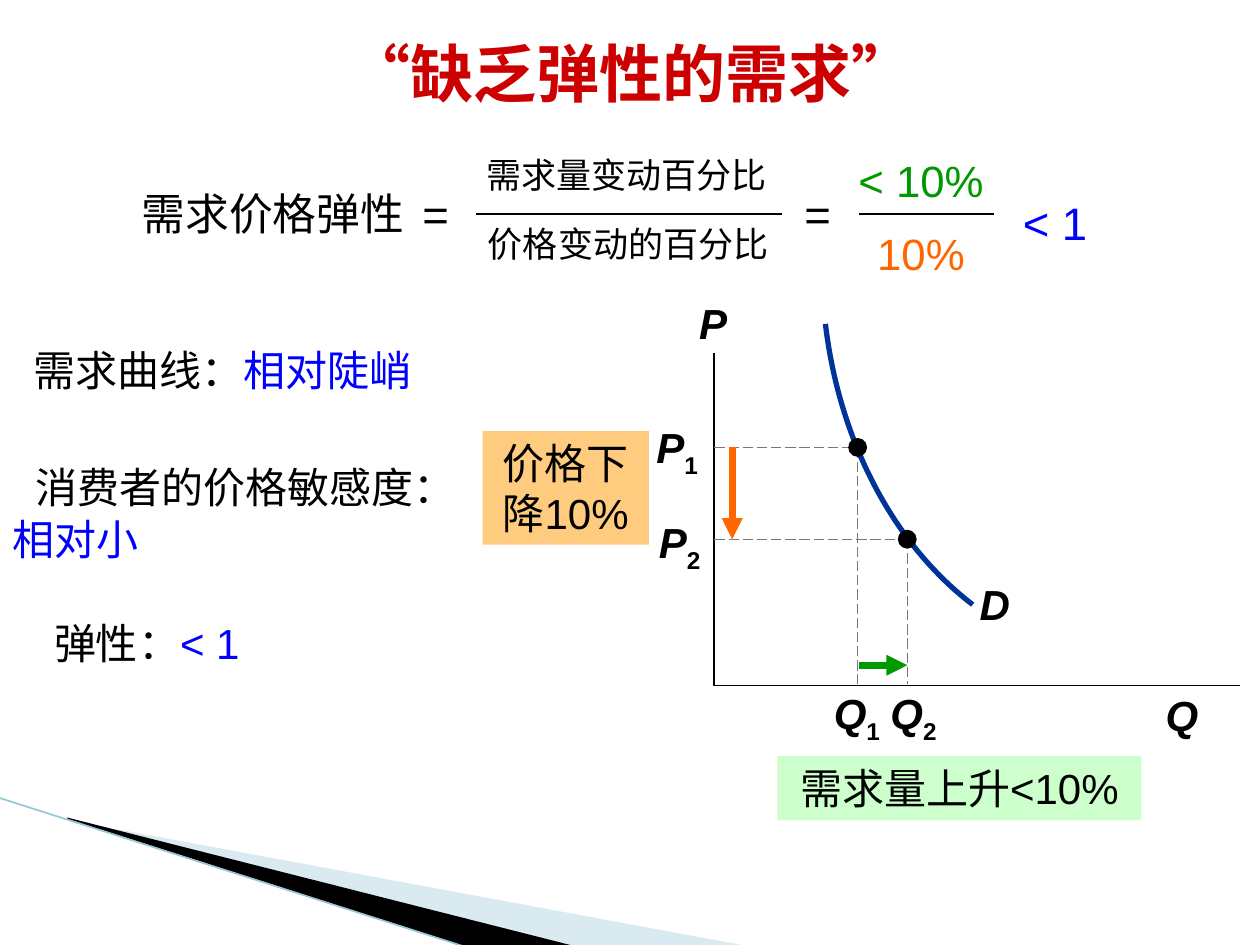
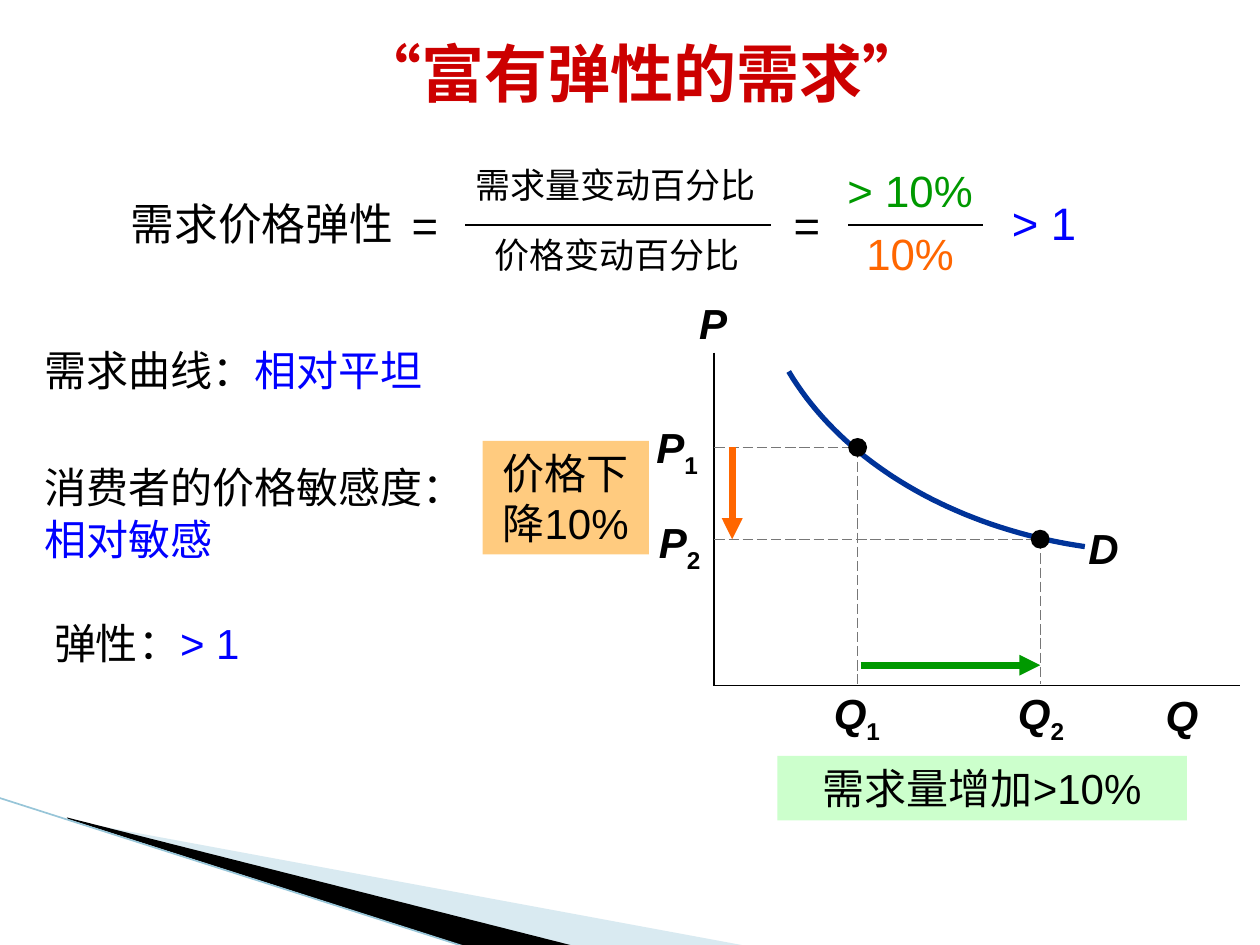
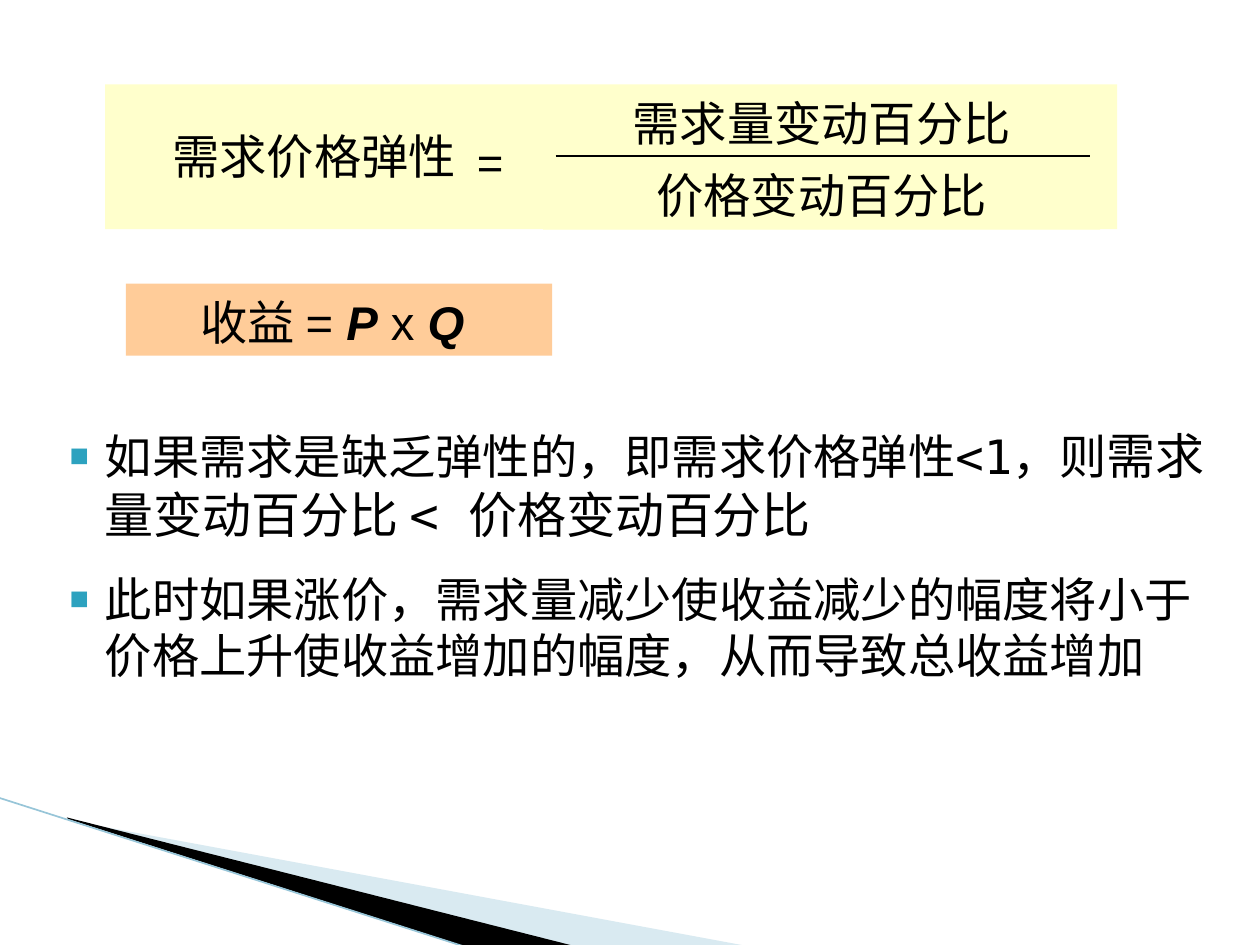
"""Build three slides on the price elasticity of demand."""
from dataclasses import dataclass
from typing import Optional

from lxml import etree
from pptx import Presentation, util as u
from pptx.dml.color import RGBColor
from pptx.enum import dml, shapes, text
from pptx.oxml.ns import qn

BLACK = RGBColor(0x00, 0x00, 0x00)
RED = RGBColor(0xCC, 0x00, 0x00)
BLUE = RGBColor(0x00, 0x00, 0xFF)
NAVY = RGBColor(0x00, 0x33, 0x99)
GREEN = RGBColor(0x00, 0x99, 0x00)
ORANGE = RGBColor(0xFF, 0x66, 0x00)
GREY = RGBColor(0x77, 0x77, 0x77)
AMBER = RGBColor(0xFF, 0x99, 0x00)
MINT = RGBColor(0xCC, 0xFF, 0xCC)
PEACH = RGBColor(0xFF, 0xCC, 0x99)
CREAM = RGBColor(0xFF, 0xFF, 0xCC)
SKY = RGBColor(0xA0, 0xCB, 0xDC)
PALE_TEAL = RGBColor(0x97, 0xC5, 0xD8)
TEAL = RGBColor(0x2D, 0xA2, 0xBF)

BODY_FONT = "Arial"
HEADING_FONT = "DejaVu Sans Mono"
LEFT, CENTER, RIGHT = text.PP_ALIGN.LEFT, text.PP_ALIGN.CENTER, text.PP_ALIGN.RIGHT

AXIS_X, AXIS_Y = 14.4, 13.82
PRICE_1, PRICE_2 = 9.02, 10.87
QUANTITY_1 = 17.29
DOT = 0.38

Point = tuple[float, float]


@dataclass(frozen=True)
class Box:
    """A frame in centimetres."""
    left: float
    top: float
    width: float
    height: float


@dataclass(frozen=True)
class Span:
    """A stretch of text and what sets it apart from its paragraph."""
    words: str
    color: Optional[RGBColor] = None
    size: Optional[float] = None
    bold: Optional[bool] = None
    italic: Optional[bool] = None
    subscript: bool = False


@dataclass(frozen=True)
class Style:
    """The look of a paragraph."""
    size: float = 24
    color: RGBColor = BLACK
    font: str = BODY_FONT
    bold: bool = False
    italic: bool = False
    align: text.PP_ALIGN = CENTER
    line_spacing: Optional[float] = None
    indent: float = 0


@dataclass(frozen=True)
class Remark:
    """A left-hand statement: a caption and its finding."""
    box: Box
    caption: str
    finding: str
    indent: float = 0


@dataclass(frozen=True)
class DemandCase:
    """Everything that differs between the two demand slides."""
    title: str
    title_width: float
    shift: Point
    denominator: str
    sign: str
    curve: tuple[Point, Point, Point, Point]
    curve_label: Point
    quantity_2: float
    quantity_2_label: float
    arrow_start: float
    price_callout_top: float
    quantity_callout: str
    quantity_callout_width: float
    remarks: tuple[Remark, ...]


VARIABLE = Style(bold=True, italic=True)

CASES = (
    DemandCase(
        title="“缺乏弹性的需求”", title_width=23.16, shift=(0, 0),
        denominator="价格变动的百分比", sign="<",
        curve=((19.61, 12.19), (18.01, 10.97), (16.92, 8.89), (16.64, 6.53)),
        curve_label=(19.28, 11.53), quantity_2=18.29, quantity_2_label=17.6,
        arrow_start=17.32, price_callout_top=8.69,
        quantity_callout="需求量上升<10%", quantity_callout_width=7.34,
        remarks=(
            Remark(Box(0, 9.12, 9.73, 3.07), "消费者的价格敏感度：", "相对小", 0.47),
            Remark(Box(0.43, 6.78, 10.8, 1.93), "需求曲线：", "相对陡峭"),
            Remark(Box(0.84, 12.27, 6.68, 1.5), "弹性：", "< 1"),
        ),
    ),
    DemandCase(
        title="“富有弹性的需求”", title_width=23.6, shift=(-0.22, 0.21),
        denominator="价格变动百分比", sign=">",
        curve=((21.87, 11.02), (19.23, 10.64), (16.99, 9.32), (15.9, 7.49)),
        curve_label=(21.47, 10.41), quantity_2=20.97, quantity_2_label=20.17,
        arrow_start=17.35, price_callout_top=8.89,
        quantity_callout="需求量增加>10%", quantity_callout_width=8.26,
        remarks=(
            Remark(Box(0.64, 9.12, 9.45, 2.97), "消费者的价格敏感度：", "相对敏感"),
            Remark(Box(0.64, 6.78, 10.21, 1.98), "需求曲线：", "相对平坦"),
            Remark(Box(0.84, 12.27, 6.3, 1.5), "弹性：", "> 1"),
        ),
    ),
)


def place(shape, box: Box) -> None:
    """Move and size a shape."""
    shape.left, shape.top = u.Cm(box.left), u.Cm(box.top)
    shape.width, shape.height = u.Cm(box.width), u.Cm(box.height)


def write(paragraph, spans: tuple[Span, ...], style: Style) -> None:
    """Fill a paragraph with spans in one style."""
    paragraph.alignment = style.align
    paragraph.space_before = u.Pt(0)
    if style.line_spacing:
        paragraph.line_spacing = style.line_spacing
    if style.indent:
        paragraph._p.get_or_add_pPr().set("indent", str(u.Cm(style.indent)))
    font = paragraph.font
    font.name, font.size = style.font, u.Pt(style.size)
    font.bold, font.italic = style.bold, style.italic
    font.color.rgb = style.color
    for span in spans:
        run = paragraph.add_run()
        run.text = span.words
        if span.color is not None:
            run.font.color.rgb = span.color
        if span.size:
            run.font.size = u.Pt(span.size)
        if span.bold is not None:
            run.font.bold = span.bold
        if span.italic is not None:
            run.font.italic = span.italic
        if span.subscript:
            run._r.get_or_add_rPr().set("baseline", "-25000")


def paint(shape, fill: RGBColor, opacity: Optional[int] = None) -> None:
    """Give a shape a plain fill with no outline or shadow."""
    shape.shadow.inherit = False
    shape.fill.solid()
    shape.fill.fore_color.rgb = fill
    shape.line.fill.background()
    if opacity:
        color = shape.element.spPr.find(qn("a:solidFill"))[0]
        etree.SubElement(color, qn("a:alpha")).set("val", str(opacity * 1000))


def add_block(slide, kind: shapes.MSO_SHAPE, box: Box, fill: RGBColor,
              opacity: Optional[int] = None):
    """Add a filled preset shape."""
    block = slide.shapes.add_shape(kind, 0, 0, 0, 0)
    place(block, box)
    paint(block, fill, opacity)
    return block


def add_text(slide, box: Box, *spans: Span, style: Style = Style(), fill: Optional[RGBColor] = None,
             opacity: Optional[int] = None, grow: bool = True) -> None:
    """Add wrapped text, on a filled rectangle when a fill is given."""
    if fill is None:
        holder = slide.shapes.add_textbox(0, 0, 0, 0)
        place(holder, box)
    else:
        holder = add_block(slide, shapes.MSO_SHAPE.RECTANGLE, box, fill, opacity)
    frame = holder.text_frame
    frame.word_wrap = True
    frame.vertical_anchor = text.MSO_ANCHOR.TOP
    frame.auto_size = text.MSO_AUTO_SIZE.SHAPE_TO_FIT_TEXT if grow else text.MSO_AUTO_SIZE.NONE
    write(frame.paragraphs[0], spans, style)


def add_line(slide, start: Point, end: Point, color: RGBColor = BLACK, width: float = 1,
             dashed: bool = False, arrow: bool = False):
    """Add a straight line, dashed or with an arrowhead on request."""
    line = slide.shapes.add_connector(shapes.MSO_CONNECTOR.STRAIGHT,
                                      *(u.Cm(value) for value in (*start, *end)))
    line.line.color.rgb = color
    line.line.width = u.Pt(width)
    if dashed:
        line.line.dash_style = dml.MSO_LINE.LONG_DASH
    properties = line.element.spPr
    if arrow:
        outline = properties.find(qn("a:ln"))
        etree.SubElement(outline, qn("a:tailEnd")).set("type", "triangle")
    etree.SubElement(properties, qn("a:effectLst"))
    return line


def add_outline(slide, points: list[Point], close: bool):
    """Add a freeform through points."""
    first, *rest = [(u.Cm(x), u.Cm(y)) for x, y in points]
    builder = slide.shapes.build_freeform(*first)
    builder.add_line_segments(rest, close=close)
    return builder.convert_to_shape()


def add_curve(slide, controls: tuple[Point, Point, Point, Point], steps: int = 40) -> None:
    """Draw a cubic Bezier demand curve."""
    points = []
    for step in range(steps + 1):
        t = step / steps
        weights = ((1 - t) ** 3, 3 * t * (1 - t) ** 2, 3 * t * t * (1 - t), t ** 3)
        points.append(tuple(sum(w * c[axis] for w, c in zip(weights, controls))
                            for axis in (0, 1)))
    curve = add_outline(slide, points, close=False)
    curve.shadow.inherit = False
    curve.fill.background()
    curve.line.color.rgb = NAVY
    curve.line.width = u.Pt(3)


def decorate_master(prs, slide) -> None:
    """Put the corner wedges on the slide master, behind everything."""
    pale = add_outline(slide, [(1.4, 16.54), (15.11, 19.08), (11.58, 19.08), (1.4, 16.51)], True)
    paint(pale, SKY, 40)
    dark = add_outline(slide, [(1.35, 16.48), (11.61, 19.08), (9.45, 19.1), (1.37, 16.51)], True)
    paint(dark, BLACK)
    edge = add_line(slide, (-0.03, 16.08), (9.42, 19.1), PALE_TEAL, 0.95)
    foremost = prs.slide_master.placeholders[0].element
    for number, wedge in enumerate((pale, dark, edge), start=101):
        wedge.element.xpath(".//p:cNvPr")[0].set("id", str(number))
        foremost.addprevious(wedge.element)


def add_title(slide, words: str, width: float) -> None:
    """Format the title placeholder."""
    title = slide.shapes.title
    place(title, Box(1.14, 0.69, width, 1.73))
    title.text_frame.auto_size = text.MSO_AUTO_SIZE.NONE
    title.text_frame.vertical_anchor = text.MSO_ANCHOR.MIDDLE
    write(title.text_frame.paragraphs[0], (Span(words),),
          Style(36, RED, HEADING_FONT, bold=True, line_spacing=0.9))


def add_formula(slide, case: DemandCase) -> None:
    """Write the elasticity formula and its result."""
    dx, dy = case.shift
    upper, bar, equals = 2.97 + dy, 4.32 + dy, 3.63 + dy
    ratio = 16.94 + dx
    parts = (
        (Box(2.34 + dx, 3.71 + dy, 6.32, 1.27), "需求价格弹性", Style(25, line_spacing=0.95)),
        (Box(8.15 + dx, equals, 1.27, 1.35), "=", Style(26)),
        (Box(9.32 + dx, upper, 6.63, 1.02), "需求量变动百分比", Style(20)),
        (Box(9.35 + dx, 4.37 + dy, 6.63, 1.02), case.denominator, Style(20)),
        (Box(15.85 + dx, equals, 1.27, 1.35), "=", Style(26)),
        (Box(ratio, upper + 0, 3.25, 1.32), f"{case.sign} 10%", Style(25, GREEN)),
        (Box(ratio, 4.45, 3.25, 1.32), "10%", Style(25, ORANGE)),
        (Box(20.32 + dx, 3.81, 1.9, 1.35), f"{case.sign} 1", Style(26, BLUE)),
    )
    for box, words, style in parts:
        add_text(slide, box, Span(words), style=style)
    for start, end in ((9.6, 15.77), (17.32, 20.04)):
        add_line(slide, (start + dx, bar), (end + dx, bar))


def add_diagram(slide, case: DemandCase) -> None:
    """Draw the axes, the demand curve, both points and the changes."""
    add_curve(slide, case.curve)
    add_line(slide, (AXIS_X, 7.11), (AXIS_X, AXIS_Y))
    add_line(slide, (AXIS_X, AXIS_Y), (24.99, AXIS_Y))
    for name, box in (("D", Box(*case.curve_label, 1.55, 1.27)),
                      ("P", Box(13.41, 5.87, 1.93, 1.27)),
                      ("Q", Box(22.86, 13.77, 1.93, 1.27))):
        add_text(slide, box, Span(name), style=VARIABLE)

    states = (
        ("1", QUANTITY_1, PRICE_1, 16.46, Box(12.67, 8.38, 1.65, 1.27)),
        ("2", case.quantity_2, PRICE_2, case.quantity_2_label, Box(12.67, 10.29, 1.7, 1.27)),
    )
    for index, quantity, price, label_left, price_box in states:
        subscript = Span(index, italic=False, subscript=True)
        add_text(slide, Box(label_left, 13.74, 1.63, 1.27), Span("Q"), subscript, style=VARIABLE)
        add_text(slide, price_box, Span("P"), subscript,
                 style=Style(bold=True, italic=True, align=RIGHT))
        add_line(slide, (quantity, price), (quantity, 13.78), GREY, 0.75, dashed=True)
        add_line(slide, (AXIS_X, price), (quantity, price), GREY, 0.75, dashed=True)
        add_block(slide, shapes.MSO_SHAPE.OVAL,
                  Box(quantity - DOT / 2, price - DOT / 2, DOT, DOT), BLACK)

    add_line(slide, (14.76, PRICE_1), (14.76, PRICE_2), ORANGE, 4, arrow=True)
    add_line(slide, (case.arrow_start, 13.41), (case.quantity_2, 13.41), GREEN, 4, arrow=True)
    add_text(slide, Box(15.67, 15.24, case.quantity_callout_width, 1.3),
             Span(case.quantity_callout), fill=MINT)
    add_text(slide, Box(9.73, case.price_callout_top, 3.35, 2.29),
             Span("价格下降10%"), fill=AMBER, opacity=50)


def build_demand_slide(slide, case: DemandCase) -> None:
    """Fill one demand slide."""
    add_title(slide, case.title, case.title_width)
    add_diagram(slide, case)
    add_formula(slide, case)
    for remark in case.remarks:
        add_text(slide, remark.box, Span(remark.caption), Span(remark.finding, BLUE),
                 style=Style(align=LEFT, line_spacing=1.05, indent=remark.indent), grow=False)


def add_bullet(paragraph) -> None:
    """Give a paragraph a small teal square bullet."""
    properties = paragraph._p.get_or_add_pPr()
    properties.set("marL", str(u.Cm(1.02)))
    properties.set("indent", str(u.Cm(-0.71)))
    color = etree.SubElement(properties, qn("a:buClr"))
    etree.SubElement(color, qn("a:srgbClr")).set("val", str(TEAL))
    etree.SubElement(properties, qn("a:buSzPct")).set("val", "68000")
    etree.SubElement(properties, qn("a:buChar")).set("char", "■")


def build_revenue_slide(slide) -> None:
    """Fill the slide on elasticity and revenue."""
    title = slide.shapes.title.element
    title.getparent().remove(title)
    body = slide.placeholders[1]
    place(body, Box(0.84, 8.46, 23.95, 7.34))
    frame = body.text_frame
    frame.auto_size = text.MSO_AUTO_SIZE.NONE
    points = (
        (Span("如果需求是缺乏弹性的，即需求价格弹性<1，则"),
         Span("需求量变动百分比 < 价格变动百分比", size=28)),
        (Span("此时如果涨价，需求量减少使收益减少的幅度将小于"
              "价格上升使收益增加的幅度，从而导致总收益增加"),),
    )
    for number, spans in enumerate(points):
        paragraph = frame.add_paragraph() if number else frame.paragraphs[0]
        add_bullet(paragraph)
        write(paragraph, spans, Style(27, font=HEADING_FONT, align=LEFT))
        paragraph.space_before = u.Pt(15 * number)

    add_text(slide, Box(2.54, 5.72, 8.59, 1.45), Span("收益 = "),
             Span("P", bold=True, italic=True), Span(" x "), Span("Q ", bold=True, italic=True),
             style=Style(27, line_spacing=1.05), fill=PEACH)
    add_block(slide, shapes.MSO_SHAPE.RECTANGLE, Box(2.12, 1.7, 20.4, 2.92), CREAM)
    for box, words, size in (
            (Box(2.97, 2.44, 6.73, 1.4), "需求价格弹性", 27),
            (Box(9.27, 2.57, 1.22, 1.35), "=", 26),
            (Box(10.95, 1.78, 11.23, 1.4), "需求量变动百分比", 27),
            (Box(10.95, 3.23, 11.23, 1.4), "价格变动百分比", 27)):
        add_text(slide, box, Span(words), style=Style(size), fill=CREAM)
    add_line(slide, (11.2, 3.15), (21.97, 3.15))


def main() -> None:
    """Build and save the deck."""
    prs = Presentation()
    prs.slide_width, prs.slide_height = u.Cm(25.4), u.Cm(19.05)
    content_layout, title_layout = prs.slide_layouts[1], prs.slide_layouts[5]
    for number, case in enumerate(CASES):
        slide = prs.slides.add_slide(title_layout)
        if number == 0:
            decorate_master(prs, slide)
        build_demand_slide(slide, case)
    build_revenue_slide(prs.slides.add_slide(content_layout))
    prs.save("out.pptx")


if __name__ == "__main__":
    main()
